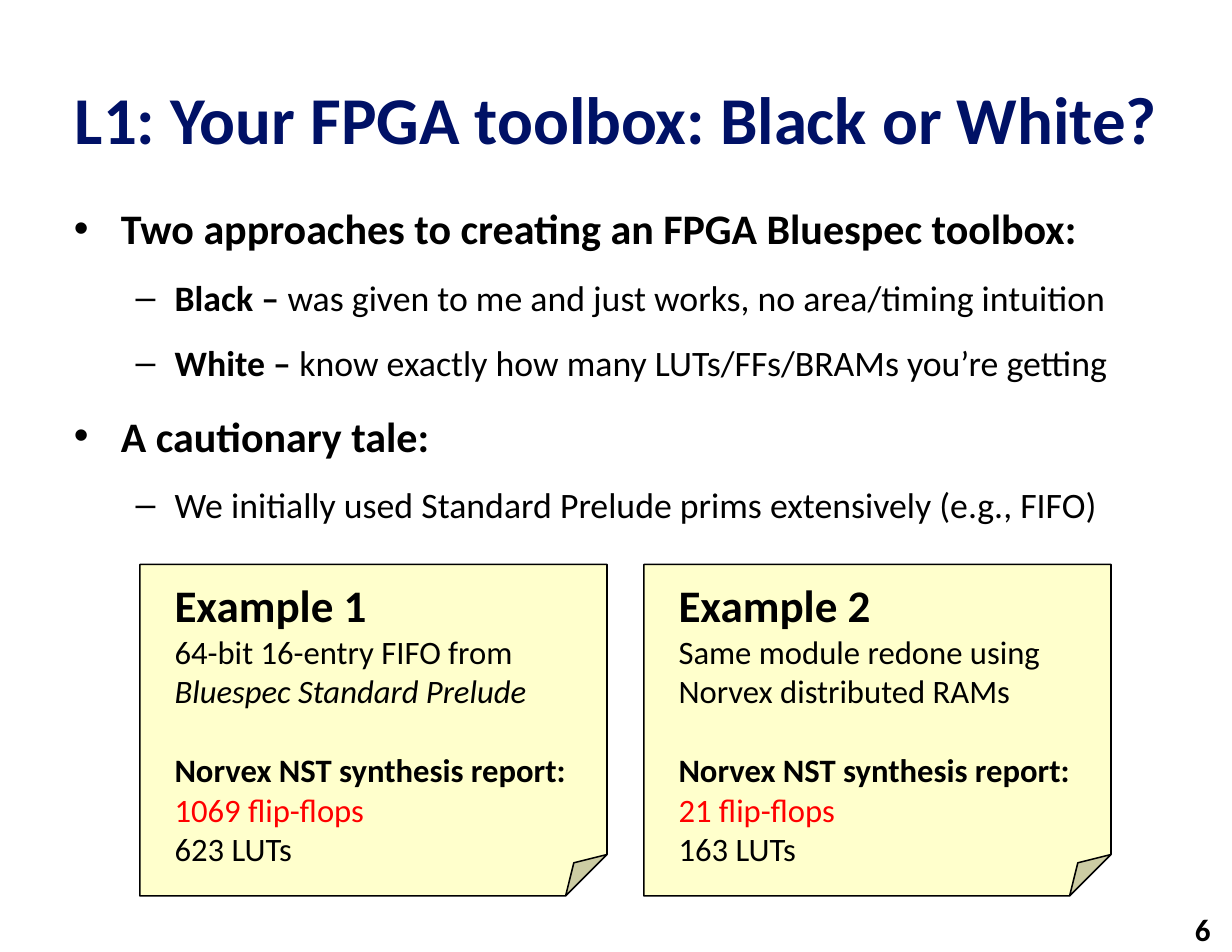
import pptx
import pptx.util
import pptx.dml.color
import pptx.enum.shapes
import pptx.enum.text
import pptx.oxml
import pptx.oxml.ns
from pptx.util import Inches

FONT = "Calibri"
BLACK, NAVY, RED, NOTE = "000000", "001166", "FF0000", "FFFFCC"
HEADLINE = "L1: Your FPGA toolbox: Black or White?"
PAGE = "6"

OUTLINE = [
    (0, [("Two approaches to creating an FPGA Bluespec toolbox:", True)]),
    (1, [("Black – ", True),
         ("was given to me and just works, no area/timing intuition", False)]),
    (1, [("White – ", True),
         ("know exactly how many LUTs/FFs/BRAMs you’re getting", False)]),
    (0, [("A cautionary tale:", True)]),
    (1, [("We initially used Standard Prelude prims extensively (e.g., FIFO)", False)]),
]
LEVELS = [
    {"bullet": "•", "size": 27, "left": 0.42, "hang": 0.42, "before": 16.9},
    {"bullet": "–", "size": 23, "left": 0.9, "hang": 0.35, "before": 14.4},
]

EXAMPLES = [
    {"heading": "Example 1",
     "module": [("64-bit 16-entry FIFO from ", False), ("Bluespec Standard Prelude", True)],
     "flip_flops": "1069 flip-flops", "luts": "623 LUTs"},
    {"heading": "Example 2",
     "module": [("Same module redone using Norvex distributed RAMs", False)],
     "flip_flops": "21 flip-flops", "luts": "163 LUTs"},
]
REPORT = "Norvex NST synthesis report:"
NOTE_LEFT, NOTE_TOP, NOTE_WIDTH, NOTE_HEIGHT, NOTE_STEP = 1.25, 5.04, 4.17, 2.96, 4.5


def color(code):
    return pptx.dml.color.RGBColor.from_string(code)


def add_run(paragraph, text, size, bold=False, italic=False, ink=BLACK):
    run = paragraph.add_run()
    run.text = text
    run.font.name = FONT
    run.font.size = pptx.util.Pt(size)
    run.font.bold = bold
    run.font.italic = italic
    run.font.color.rgb = color(ink)


def next_paragraph(frame, index):
    return frame.add_paragraph() if index else frame.paragraphs[0]


def place(shape, left, top, width, height):
    shape.left, shape.top = Inches(left), Inches(top)
    shape.width, shape.height = Inches(width), Inches(height)


def prepare(frame, side=0.11, edge=0.06, anchor=pptx.enum.text.MSO_ANCHOR.TOP):
    frame.word_wrap = True
    frame.auto_size = pptx.enum.text.MSO_AUTO_SIZE.NONE
    frame.vertical_anchor = anchor
    frame.margin_left = frame.margin_right = Inches(side)
    frame.margin_top = frame.margin_bottom = Inches(edge)
    return frame


def set_bullet(paragraph, level):
    properties = paragraph._p.get_or_add_pPr()
    properties.set("marL", str(Inches(level["left"])))
    properties.set("indent", str(-Inches(level["hang"])))
    namespace = pptx.oxml.ns.nsdecls("a")
    for xml in (
        f'<a:buClr {namespace}><a:srgbClr val="{BLACK}"/></a:buClr>',
        f'<a:buFont {namespace} typeface="Arial"/>',
        f'<a:buChar {namespace} char="{level["bullet"]}"/>',
    ):
        properties.append(pptx.oxml.parse_xml(xml))


def set_fold(note, share):
    guides = note._element.spPr.find(".//" + pptx.oxml.ns.qn("a:avLst"))
    namespace = pptx.oxml.ns.nsdecls("a")
    guides.append(pptx.oxml.parse_xml(
        f'<a:gd {namespace} name="adj" fmla="val {int(share * 100000)}"/>'))


def add_title(slide):
    title = slide.shapes.title
    place(title, 0.55, 0.34, 9.9, 1.42)
    frame = prepare(title.text_frame, anchor=pptx.enum.text.MSO_ANCHOR.MIDDLE)
    frame.paragraphs[0].alignment = pptx.enum.text.PP_ALIGN.CENTER
    add_run(frame.paragraphs[0], HEADLINE, 43, bold=True, ink=NAVY)


def add_outline(slide):
    body = slide.placeholders[1]
    place(body, 0.55, 1.75, 9.9, 5.61)
    frame = prepare(body.text_frame)
    for index, (depth, runs) in enumerate(OUTLINE):
        level = LEVELS[depth]
        paragraph = next_paragraph(frame, index)
        paragraph.level = depth
        set_bullet(paragraph, level)
        paragraph.space_before = pptx.util.Pt(level["before"] if index else 0)
        for text, bold in runs:
            add_run(paragraph, text, level["size"], bold=bold)


def add_example(slide, example, left):
    note = slide.shapes.add_shape(
        pptx.enum.shapes.MSO_SHAPE.FOLDED_CORNER,
        Inches(left), Inches(NOTE_TOP), Inches(NOTE_WIDTH), Inches(NOTE_HEIGHT))
    set_fold(note, 0.125)
    note.shadow.inherit = False
    note.fill.solid()
    note.fill.fore_color.rgb = color(NOTE)
    note.line.color.rgb = color(BLACK)
    note.line.width = pptx.util.Pt(1)

    details = slide.shapes.add_textbox(
        Inches(left + 0.21), Inches(NOTE_TOP + 0.07), Inches(3.85), Inches(2.69))
    frame = prepare(details.text_frame, 0.1, 0.05)
    lines = [
        ([(example["heading"], False)], 29, True, BLACK, 0),
        (example["module"], 21, False, BLACK, 0),
        ([(REPORT, False)], 21, True, BLACK, 25.6),
        ([(example["flip_flops"], False)], 21, False, RED, 0),
        ([(example["luts"], False)], 21, False, BLACK, 0),
    ]
    for index, (runs, size, bold, ink, before) in enumerate(lines):
        paragraph = next_paragraph(frame, index)
        paragraph.space_before = pptx.util.Pt(before)
        for text, italic in runs:
            add_run(paragraph, text, size, bold, italic, ink)


def add_page_number(slide):
    number = slide.shapes.add_textbox(
        Inches(8.35), Inches(8.07), Inches(2.57), Inches(0.59))
    paragraph = prepare(number.text_frame).paragraphs[0]
    paragraph.alignment = pptx.enum.text.PP_ALIGN.RIGHT
    add_run(paragraph, PAGE, 20, bold=True)


def main():
    deck = pptx.Presentation()
    deck.slide_width, deck.slide_height = Inches(11), Inches(8.5)
    slide = deck.slides.add_slide(deck.slide_layouts[1])
    add_title(slide)
    add_outline(slide)
    for index, example in enumerate(EXAMPLES):
        add_example(slide, example, NOTE_LEFT + index * NOTE_STEP)
    add_page_number(slide)
    deck.save("out.pptx")


if __name__ == "__main__":
    main()
